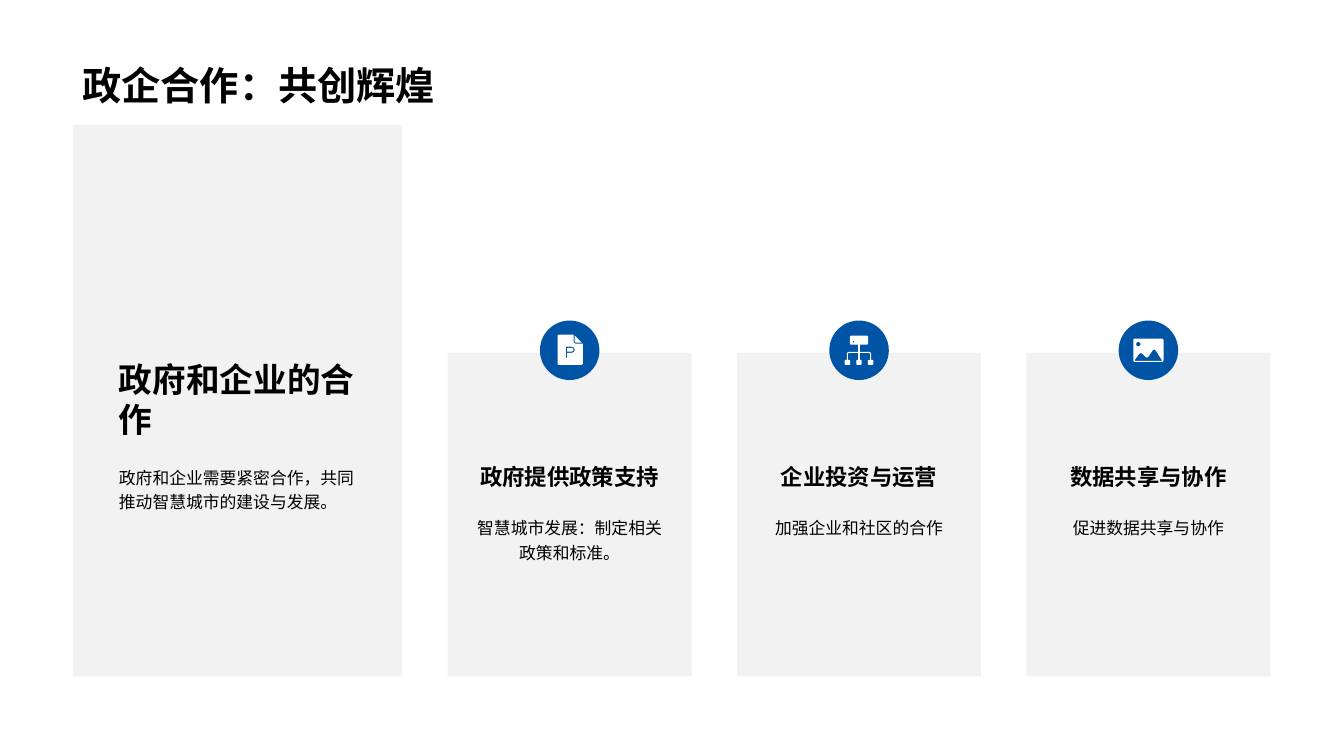
import math

import pptx
import pptx.util
from lxml import etree
from pptx.dml.color import RGBColor
from pptx.enum.shapes import MSO_SHAPE
from pptx.enum.text import MSO_ANCHOR, MSO_AUTO_SIZE, PP_ALIGN
from pptx.oxml.ns import qn
from pptx.util import Inches

FONT = "Arial"
BLACK, WHITE, BLUE, GREY = "000000", "FFFFFF", "0054A5", "BFBFBF"

TITLE = "政企合作：共创辉煌"
LEAD = ("政府和企业的合作", "政府和企业需要紧密合作，共同推动智慧城市的建设与发展。")
CARDS = [
    ("政府提供政策支持", "智慧城市发展：制定相关政策和标准。", 0.7, "document"),
    ("企业投资与运营", "加强企业和社区的合作", 0.46, "network"),
    ("数据共享与协作", "促进数据共享与协作", 0.46, "landscape"),
]

# Panel geometry in inches
LEFT, BOTTOM, GAP = 0.72, 6.71, 0.45
LEAD_W, LEAD_TOP = 3.27, 1.24
CARD_W, CARD_TOP, CARD_TEXT_W = 2.42, 3.5, 2.1
BADGE, BADGE_TOP = 0.59, 3.18
ICON_TOP = 3.0

HEADING = {"size": pptx.util.Pt(16), "bold": True}
LEAD_HEADING = {"size": pptx.util.Pt(24), "bold": True}
TITLE_FONT = {"size": pptx.util.Pt(28), "bold": True}
BODY = {"size": pptx.util.Pt(12), "bold": False}


def arc(cx, cy, radius, start, end, steps=8):
    """Points along a circle, angles in degrees clockwise from the right."""
    angles = [math.radians(start + (end - start) * i / steps) for i in range(steps + 1)]
    return [(cx + radius * math.cos(a), cy + radius * math.sin(a)) for a in angles]


def rounded(l, t, r, b, radius):
    """Outline of a rectangle with rounded corners."""
    corners = [(r - radius, b - radius), (l + radius, b - radius),
               (l + radius, t + radius), (r - radius, t + radius)]
    return [pt for i, (x, y) in enumerate(corners)
            for pt in arc(x, y, radius, 90 * i, 90 * i + 90, 4)]


# Right half of the branching line, mirrored for the left half
BRANCH = [(1, 42), (1, 49), (10, 49), (11.4, 49.6), (12, 51), (12, 57),
          (11, 57), (11, 51), (10, 50), (1, 50), (1, 57)]

# Contours in hundredths of an inch from the badge centre line and ICON_TOP
ICONS = {
    "document": [
        [(4, 32), (4, 39), (4.6, 40.4), (6, 41), (13, 41), (13, 61), (12, 62),
         (-11, 62), (-12, 61), (-12, 33), (-11, 32)],
        [(-3.7, 44), *arc(2, 47, 3, -90, 90), (-2.5, 50), (-2.5, 55), (-3.7, 55)],
        [(-2.5, 45.2), *arc(2, 47, 1.8, -90, 90), (-2.5, 48.8)],
        [(5, 33), (12, 40), (6, 40), (5, 39)],
    ],
    "network": [
        rounded(-9, 33, 9, 42, 1.5),
        BRANCH + [(-x, y) for x, y in reversed(BRANCH)],
        *[rounded(x - 2.7, 57, x + 2.7, 62, 1) for x in (-11.5, 0, 11.5)],
        arc(-5.5, 39, 0.8, 0, 360),
    ],
    "landscape": [
        rounded(-15, 36, 15, 59, 1.5),
        [(6.5, 47), (5.2, 47), (4, 48), (0, 54), (-1.3, 54.8), (-3, 54), (-6, 51),
         (-7.3, 50.3), (-9, 51), (-13.4, 57), (-13.4, 57.6), (-13, 58),
         (13, 58), (13.4, 57.6), (13.2, 57), (7.4, 48)],
        arc(-10, 41.5, 2.2, 0, 360, 16),
    ],
}


def colour(target, value):
    if hasattr(target, "solid"):
        target.solid()
        target = target.fore_color
    else:
        target = target.color
    target.rgb = RGBColor.from_string(value)


def style(sp, value, opacity=None):
    sp.shadow.inherit = False
    sp.line.fill.background()
    colour(sp.fill, value)
    if opacity:
        rgb = sp._element.spPr.find(qn("a:solidFill")).find(qn("a:srgbClr"))
        etree.SubElement(rgb, qn("a:alpha")).set("val", str(opacity * 1000))


def add_panel(s, left, top, width):
    box = [Inches(v) for v in (left, top, width, BOTTOM - top)]
    style(s.shapes.add_shape(MSO_SHAPE.RECTANGLE, *box), GREY, 20)


def add_text(s, box, text, font, align=PP_ALIGN.LEFT, anchor=MSO_ANCHOR.TOP,
             spacing=1.0, wrap=True, grow=False, inset=0.12):
    sp = s.shapes.add_textbox(*[Inches(v) for v in box])
    tf = sp.text_frame
    frame = {"word_wrap": wrap, "vertical_anchor": anchor,
             "auto_size": MSO_AUTO_SIZE.SHAPE_TO_FIT_TEXT if grow else MSO_AUTO_SIZE.NONE}
    if inset:
        frame.update({"margin_" + side: Inches(inset)
                      for side in ("left", "top", "right", "bottom")})
    for name, value in frame.items():
        setattr(tf, name, value)
    p = tf.paragraphs[0]
    p.alignment, p.line_spacing = align, spacing
    r = p.add_run()
    r.text = text
    for name, value in {"name": FONT, **font}.items():
        setattr(r.font, name, value)
    colour(r.font, BLACK)


def add_badge(s, centre, icon):
    box = [Inches(v) for v in (centre - BADGE / 2, BADGE_TOP, BADGE, BADGE)]
    sp = s.shapes.add_shape(MSO_SHAPE.ROUNDED_RECTANGLE, *box)
    sp.adjustments[0] = 0.5
    style(sp, BLUE)
    # Builder units are whole numbers, so draw in thousandths of an inch
    contours = [[(x * 10, y * 10) for x, y in c] for c in ICONS[icon]]
    fb = s.shapes.build_freeform(*contours[0][0], scale=Inches(1) / 1000)
    for i, points in enumerate(contours):
        if i:
            fb.move_to(*points[0])
        fb.add_line_segments(points[1:], close=True)
    style(fb.convert_to_shape(Inches(centre), Inches(ICON_TOP)), WHITE)


def main():
    prs = pptx.Presentation()
    prs.slide_width, prs.slide_height = Inches(13.33), Inches(7.5)
    s = prs.slides.add_slide(prs.slide_layouts[6])

    add_panel(s, LEFT, LEAD_TOP, LEAD_W)
    heading, body = LEAD
    add_text(s, (1.06, 4.48, 2.62, 0.7), body, BODY, spacing=1.2, grow=True)
    add_text(s, (1.06, 3.43, 2.62, 1.05), heading, LEAD_HEADING,
             anchor=MSO_ANCHOR.BOTTOM, grow=True)

    first = LEFT + LEAD_W + GAP
    for i, (heading, body, body_h, icon) in enumerate(CARDS):
        left = first + i * (CARD_W + GAP)
        centre = left + CARD_W / 2
        text_left = centre - CARD_TEXT_W / 2
        add_panel(s, left, CARD_TOP, CARD_W)
        add_text(s, (text_left, 4.47, CARD_TEXT_W, 0.51), heading, HEADING,
                 PP_ALIGN.CENTER, MSO_ANCHOR.BOTTOM, wrap=False)
        add_text(s, (text_left, 4.98, CARD_TEXT_W, body_h), body, BODY,
                 PP_ALIGN.CENTER, spacing=1.2, grow=True)
        add_badge(s, centre, icon)

    add_text(s, (LEFT, 0, 11.88, 1.12), TITLE, TITLE_FONT,
             anchor=MSO_ANCHOR.BOTTOM, inset=None)
    prs.save("out.pptx")


if __name__ == "__main__":
    main()
